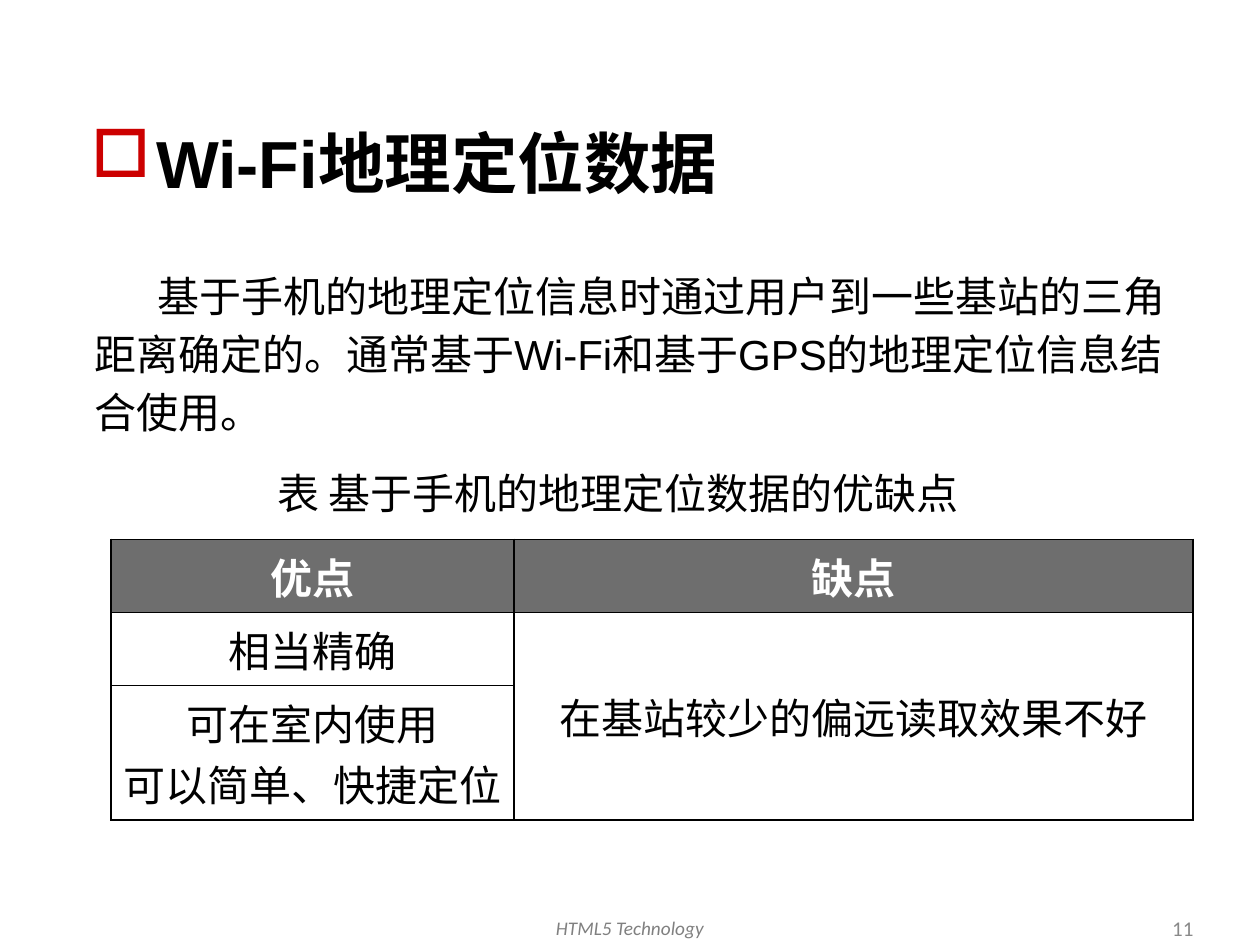
from dataclasses import dataclass

from lxml import etree
from pptx import Presentation
from pptx import util as u
from pptx.dml.color import RGBColor
from pptx.enum import text
from pptx.oxml import ns

COLORS = {"black": "000000", "white": "FFFFFF", "header": "6E6E6E",
          "bullet": "CC0000", "footer": "808080", "number": "898989"}
CJK = "Noto Sans CJK SC"
CENTER = text.PP_ALIGN.CENTER
MIDDLE = text.MSO_ANCHOR.MIDDLE


@dataclass
class Style:
    size: float = 24
    color: str = "black"
    font: str = "Arial"
    bold: bool = False
    italic: bool = False


@dataclass
class Cell:
    row: int
    col: int
    lines: list[str]


def rgb(name: str) -> RGBColor:
    return RGBColor.from_string(COLORS[name])


def add_run(p, content: str, style: Style) -> None:
    r = p.add_run()
    r.text = content
    f = r.font
    f.size, f.name = u.Pt(style.size), style.font
    f.bold, f.italic = style.bold, style.italic
    f.color.rgb = rgb(style.color)
    ea = etree.SubElement(r._r.get_or_add_rPr(), ns.qn("a:ea"))
    ea.set("typeface", CJK)


def add_text(s, box: tuple, runs: list[tuple[str, Style]], align=text.PP_ALIGN.LEFT,
             anchor=text.MSO_ANCHOR.TOP):
    """Add a one-paragraph text box and return its paragraph."""
    tf = s.shapes.add_textbox(*map(u.Inches, box)).text_frame
    tf.word_wrap, tf.vertical_anchor = True, anchor
    p = tf.paragraphs[0]
    p.alignment = align
    for content, style in runs:
        add_run(p, content, style)
    return p


def set_indent(p, left: float, first: float) -> None:
    pPr = p._p.get_or_add_pPr()
    pPr.set("marL", str(u.Inches(left)))
    pPr.set("indent", str(u.Inches(first)))


def add_bullet(p, char: str, color: str) -> None:
    pPr = p._p.get_or_add_pPr()
    clr = etree.SubElement(pPr, ns.qn("a:buClr"))
    etree.SubElement(clr, ns.qn("a:srgbClr")).set("val", COLORS[color])
    etree.SubElement(pPr, ns.qn("a:buChar")).set("char", char)


def set_borders(cell, color: str) -> None:
    tcPr = cell._tc.get_or_add_tcPr()
    for i, side in enumerate(("lnL", "lnR", "lnT", "lnB")):
        ln = etree.Element(ns.qn(f"a:{side}"), w=str(u.Pt(1)))
        fill = etree.SubElement(ln, ns.qn("a:solidFill"))
        etree.SubElement(fill, ns.qn("a:srgbClr")).set("val", COLORS[color])
        tcPr.insert(i, ln)


def add_comparison(s, left: float, top: float, widths: list[float],
                   heights: list[float], cells: list[Cell]) -> None:
    table = s.shapes.add_table(
        len(heights), len(widths), u.Inches(left), u.Inches(top),
        u.Inches(sum(widths)), u.Inches(sum(heights))).table
    table.horz_banding = False
    for col, width in zip(table.columns, widths):
        col.width = u.Inches(width)
    for row, height in zip(table.rows, heights):
        row.height = u.Inches(height)
    table.cell(1, 1).merge(table.cell(2, 1))
    table.cell(1, 1).vertical_anchor = MIDDLE
    for i, row in enumerate(table.rows):
        for cell in row.cells:
            cell.fill.solid()
            cell.fill.fore_color.rgb = rgb("white" if i else "header")
            set_borders(cell, "black")
    for item in cells:
        style = Style() if item.row else Style(color="white", bold=True)
        tf = table.cell(item.row, item.col).text_frame
        for i, line in enumerate(item.lines):
            p = tf.add_paragraph() if i else tf.paragraphs[0]
            p.alignment = CENTER
            add_run(p, line, style)


def main() -> None:
    prs = Presentation()
    prs.slide_width, prs.slide_height = u.Inches(10), u.Inches(7.5)
    s = prs.slides.add_slide(prs.slide_layouts[6])

    title = add_text(s, (0.63, 0.92, 8.75, 1),
                     [("Wi-Fi地理定位数据", Style(38, bold=True))])
    title.space_before = u.Pt(7.6)
    set_indent(title, 0.51, -0.51)
    add_bullet(title, "□", "bullet")

    latin, cjk = Style(), Style(font=CJK)
    body = add_text(s, (0.65, 2.04, 8.75, 1.5), [
        ("基于手机的地理定位信息时通过用户到一些基站的三角距离确定的。通常基于", cjk),
        ("Wi-Fi", latin), ("和基于", cjk), ("GPS", latin),
        ("的地理定位信息结合使用。", cjk)])
    body.line_spacing, body.space_before = u.Pt(33), u.Pt(4.8)
    set_indent(body, 0, 0.5)

    add_text(s, (3.22, 7.22, 3.56, 0.33),
             [("HTML5 Technology", Style(11, "footer", "Calibri", italic=True))], CENTER)
    add_text(s, (7.32, 7.22, 2.25, 0.29),
             [("11", Style(12, "number", "Calibri"))], text.PP_ALIGN.RIGHT, MIDDLE)

    add_comparison(s, 0.88, 4.28, [3.2, 5.39], [0.58, 0.58, 1.07], [
        Cell(0, 0, ["优点"]),
        Cell(0, 1, ["缺点"]),
        Cell(1, 0, ["相当精确"]),
        Cell(1, 1, ["在基站较少的偏远读取效果不好"]),
        Cell(2, 0, ["可在室内使用", "可以简单、快捷定位"]),
    ])
    add_text(s, (1.57, 3.66, 6.67, 0.5),
             [("表 基于手机的地理定位数据的优缺点", latin)], CENTER)
    prs.save("out.pptx")


if __name__ == "__main__":
    main()
